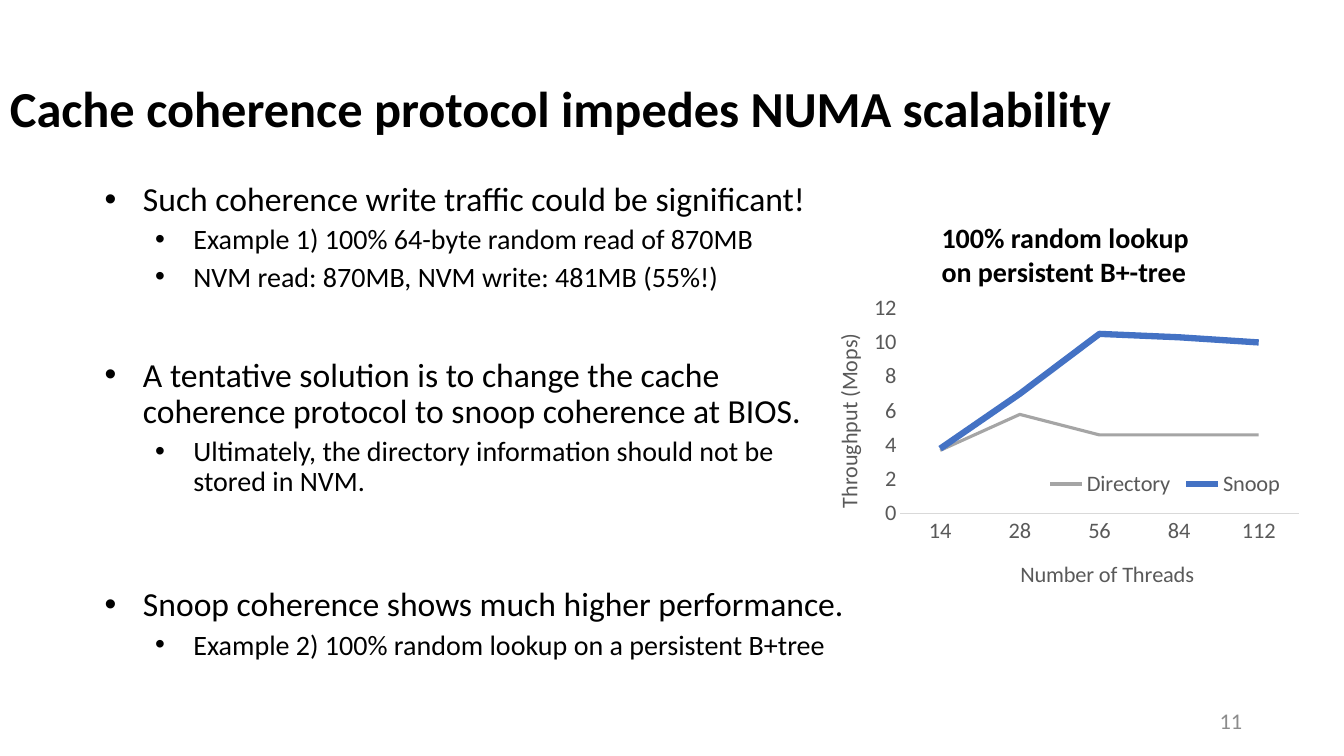
import pptx
import pptx.util
import pptx.dml.color
import pptx.enum.text
import pptx.enum.chart
import pptx.chart.data
import pptx.oxml
import pptx.oxml.ns
import lxml.etree

Inches, Pt = pptx.util.Inches, pptx.util.Pt
ALIGN, ANCHOR = pptx.enum.text.PP_ALIGN, pptx.enum.text.MSO_ANCHOR
qn = pptx.oxml.ns.qn


def style(font, size, color, bold=False):
    font.name, font.size, font.bold = "Calibri", Pt(size), bold
    font.color.rgb = pptx.dml.color.RGBColor.from_string(color)


def place(parent, index, **values):
    for old in parent.findall(qn("c:layout")):
        parent.remove(old)
    layout = lxml.etree.Element(qn("c:layout"))
    manual = lxml.etree.SubElement(layout, qn("c:manualLayout"))
    for tag, value in values.items():
        lxml.etree.SubElement(manual, qn("c:" + tag)).set("val", str(value))
    parent.insert(index, layout)


deck = pptx.Presentation()
deck.slide_width, deck.slide_height = Inches(13.33), Inches(7.5)
page = deck.slides.add_slide(deck.slide_layouts[6])

labels = [
    (9.42, 6.95, 3, 0.4, ["11"], 16, "8C8C8C", False, ALIGN.RIGHT, ANCHOR.MIDDLE),
    (0, 0.67, 11.36, 0.78, ["Cache coherence protocol impedes NUMA scalability"],
     36, "000000", True, ALIGN.LEFT, ANCHOR.MIDDLE),
    (9.24, 2.14, 3.46, 0.77, ["100% random lookup", "on persistent B+-tree"],
     20, "000000", True, ALIGN.LEFT, ANCHOR.TOP),
]
for left, top, width, height, lines, size, color, bold, align, anchor in labels:
    box = page.shapes.add_textbox(Inches(left), Inches(top), Inches(width), Inches(height))
    frame = box.text_frame
    frame.word_wrap, frame.vertical_anchor = True, anchor
    frame.text = "\n".join(lines)
    for para in frame.paragraphs:
        para.alignment = align
        style(para.font, size, color, bold)

points = [
    (0, 10, "Such coherence write traffic could be significant!"),
    (1, 5, "Example 1) 100% 64-byte random read of 870MB"),
    (1, 5, "NVM read: 870MB, NVM write: 481MB (55%!)"),
    (0, 46.4, "A tentative solution is to change the cache coherence protocol "
              "to snoop coherence at BIOS."),
    (1, 5, "Ultimately, the directory information should not be stored in NVM."),
    (0, 64, "Snoop coherence shows much higher performance."),
    (1, 5, "Example 2) 100% random lookup on a persistent B+tree"),
]
box = page.shapes.add_textbox(Inches(0.78), Inches(1.76), Inches(7.7), Inches(5.2))
frame = box.text_frame
frame.word_wrap = True
for number, (level, space, text) in enumerate(points):
    para = frame.add_paragraph() if number else frame.paragraphs[0]
    para.text, para.level = text, level
    para.line_spacing, para.space_before = 0.9, Pt(space)
    style(para.font, 24 - 4 * level, "000000")
    properties = para._p.get_or_add_pPr()
    properties.set("marL", str(Inches(0.54 + 0.5 * level)))
    properties.set("indent", str(Inches(-0.38)))
    bullet_font = pptx.oxml.parse_xml(
        f'<a:buFont {pptx.oxml.ns.nsdecls("a")} typeface="Arial"/>')
    bullet = pptx.oxml.parse_xml(f'<a:buChar {pptx.oxml.ns.nsdecls("a")} char="•"/>')
    properties.find(qn("a:defRPr")).addprevious(bullet_font)
    bullet_font.addnext(bullet)

series_styles = [
    ("Directory", (3.7, 5.8, 4.6, 4.6, 4.6), "A5A5A5", 2.25),
    ("Snoop", (3.8, 7, 10.5, 10.3, 10), "4472C4", 4.5),
]
data = pptx.chart.data.CategoryChartData()
data.categories = ["14", "28", "56", "84", "112"]
for name, values, color, width in series_styles:
    data.add_series(name, values)
chart = page.shapes.add_chart(
    pptx.enum.chart.XL_CHART_TYPE.LINE, Inches(8.13), Inches(2.91), Inches(5), Inches(3), data).chart
style(chart.font, 16, "595959")
chart.has_title = False
chart.plots[0].vary_by_categories = False
for series, (name, values, color, width) in zip(chart.plots[0].series, series_styles):
    series.smooth = False
    series.marker.style = pptx.enum.chart.XL_MARKER_STYLE.NONE
    series.format.line.width = Pt(width)
    series.format.line.color.rgb = pptx.dml.color.RGBColor.from_string(color)

axes = [
    (chart.category_axis, "Number of Threads", 0.39, 0.88, 0),
    (chart.value_axis, "Throughput (Mops)", 0.02, 0.13, -90),
]
for axis, title, left, top, angle in axes:
    axis.has_major_gridlines = False
    axis.major_tick_mark = axis.minor_tick_mark = pptx.enum.chart.XL_TICK_MARK.NONE
    style(axis.tick_labels.font, 16, "595959")
    frame = axis.axis_title.text_frame
    frame.text = title
    style(frame.paragraphs[0].font, 16, "595959")
    frame._txBody.bodyPr.set("rot", str(angle * 60000))
    place(axis.axis_title._element, 1, xMode="edge", yMode="edge", x=left, y=top)
chart.category_axis.format.line.width = Pt(0.75)
chart.category_axis.format.line.color.rgb = pptx.dml.color.RGBColor.from_string("D9D9D9")
chart.value_axis.format.line.fill.background()
chart.value_axis.minimum_scale, chart.value_axis.maximum_scale = 0, 12
chart.value_axis.major_unit = 2

chart.has_legend = True
chart.legend.position = pptx.enum.chart.XL_LEGEND_POSITION.BOTTOM
chart.legend.include_in_layout = False
style(chart.legend.font, 16, "595959")
place(chart.legend._element, 1, xMode="edge", yMode="edge", x=0.44, y=0.58, w=0.49, h=0.12)
place(chart._chartSpace.find(".//" + qn("c:plotArea")), 0, layoutTarget="inner",
      xMode="edge", yMode="edge", x=0.16, y=0.05, w=0.79, h=0.69)

deck.save("out.pptx")
